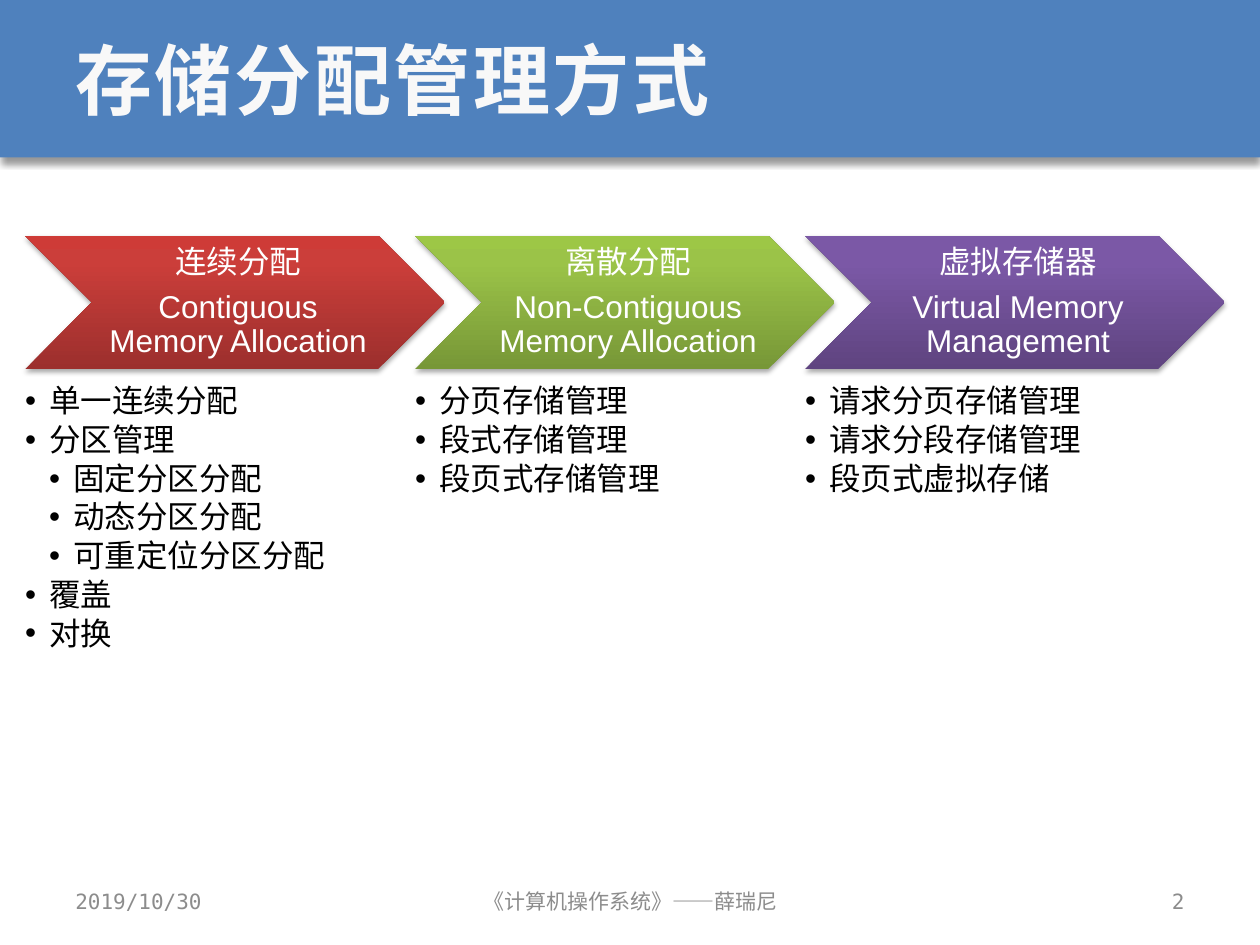
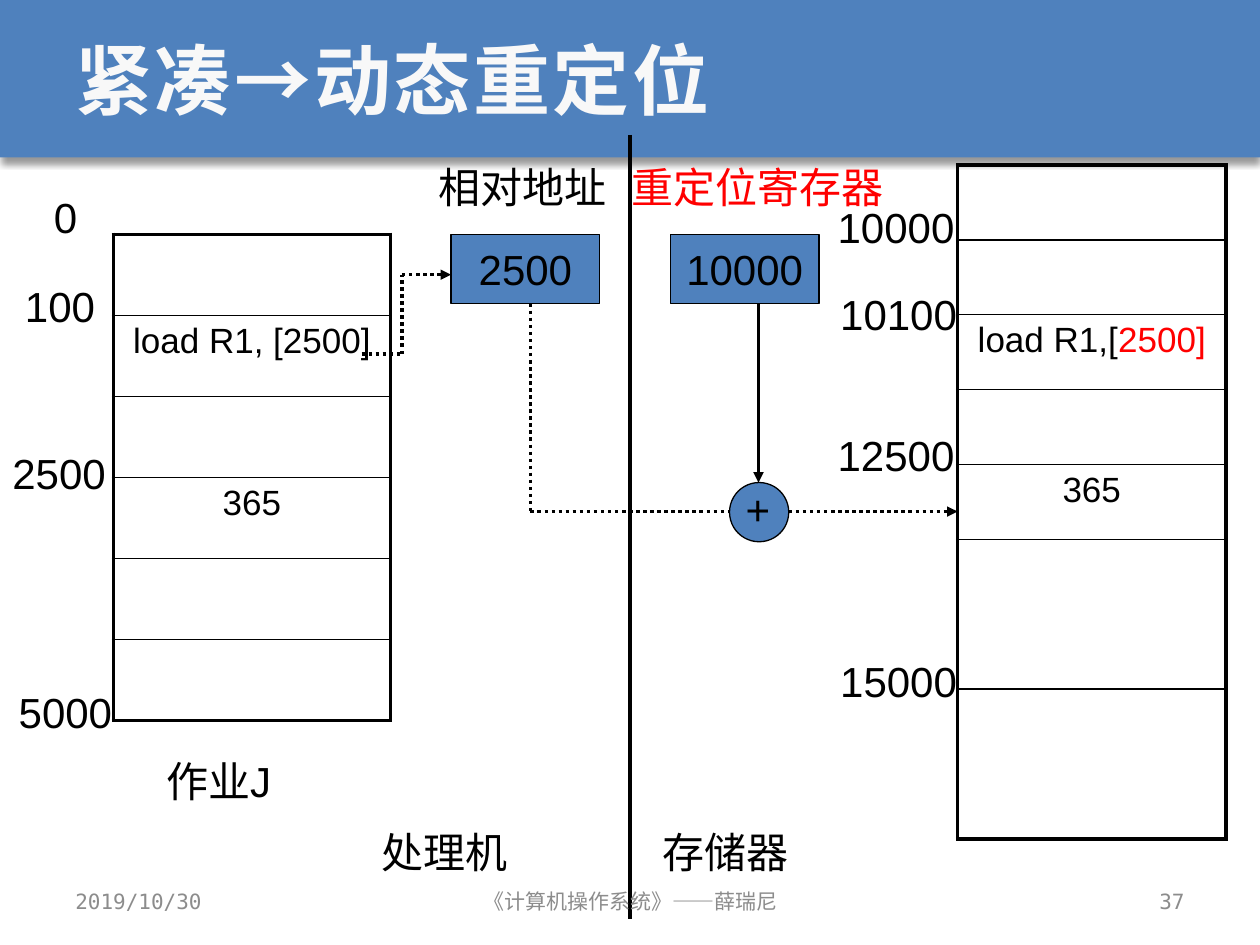
import copy
from dataclasses import dataclass
from itertools import pairwise

import pptx
import pptx.dml.color
import pptx.enum.dml
import pptx.enum.shapes
import pptx.enum.text
import pptx.oxml.ns
import pptx.util
from lxml import etree

ALIGN = pptx.enum.text.PP_ALIGN
ANCHOR = pptx.enum.text.MSO_ANCHOR
SHAPE = pptx.enum.shapes.MSO_SHAPE
qn = pptx.oxml.ns.qn

COLUMN = pptx.util.Inches(10) // 100
ROW = pptx.util.Inches(7.5) // 75


@dataclass(frozen=True)
class Theme:
    blue: str = "4F81BD"
    title: str = "F8F8F8"
    footer: str = "8C8C8C"
    black: str = "000000"
    white: str = "FFFFFF"
    red: str = "FF0000"
    reds: tuple = ("9C2F2D", "CB3E3A", "CE3B37")
    greens: tuple = ("779737", "9BC348", "9DC746")
    purples: tuple = ("5F4480", "7B58A6", "7C57A8")
    mono: str = "DejaVu Sans Mono"
    sans: str = "Arial"
    chinese: str = "Noto Sans CJK SC"
    title_size: int = 44
    label_size: int = 24
    cell_size: int = 20
    list_size: int = 18
    footer_size: int = 12


THEME = Theme()


@dataclass(frozen=True)
class Box:
    left: float
    top: float
    width: float
    height: float

    def area(self, left, top, width, height):
        return Box(self.left + left, self.top + top, width, height)

    def point(self, x, y):
        return round((self.left + x) * COLUMN), round((self.top + y) * ROW)

    def emu(self):
        return (*self.point(0, 0), round(self.width * COLUMN), round(self.height * ROW))


PAGE = Box(0, 0, 100, 75)


def rgb(color):
    return pptx.dml.color.RGBColor.from_string(color)


def add_xml(parent, tag, **attributes):
    return etree.SubElement(parent, qn(tag), {key: str(value) for key, value in attributes.items()})


def style(para, size, color=THEME.black, font=THEME.sans, align=None):
    para.alignment = align
    para.font.size = pptx.util.Pt(size)
    para.font.name = font
    para.font.color.rgb = rgb(color)


def write(frame, lines, size, color=THEME.black, font=THEME.sans, align=None,
          anchor=ANCHOR.TOP, wrap=True, insets=None):
    frame.word_wrap = wrap
    frame.vertical_anchor = anchor
    if insets:
        frame.margin_left, frame.margin_top, frame.margin_right, frame.margin_bottom = map(
            pptx.util.Inches, insets)
    for index, line in enumerate(lines):
        para = frame.add_paragraph() if index else frame.paragraphs[0]
        para.add_run().text = line
        style(para, size, color, font, align)
    return frame.paragraphs


def add_text(page, box, lines, size, **options):
    return write(page.shapes.add_textbox(*box.emu()).text_frame, lines, size, **options)


def add_label(page, box, text, **options):
    options = {"wrap": False, **options}
    add_text(page, box, [text], THEME.label_size, **options)


def add_shape(page, kind, box, fill=THEME.blue, line=None):
    shape = page.shapes.add_shape(kind, *box.emu())
    shape.shadow.inherit = False
    shape.fill.solid()
    shape.fill.fore_color.rgb = rgb(fill)
    if line:
        shape.line.color.rgb = rgb(line)
        shape.line.width = pptx.util.Pt(0.75)
    else:
        shape.line.fill.background()
    return shape


def add_shadow(shape, opacity, blur, distance):
    effects = shape._element.spPr.find(qn("a:effectLst"))
    shadow = add_xml(effects, "a:outerShdw", blurRad=pptx.util.Pt(blur),
                     dist=pptx.util.Pt(distance), dir=90 * 60000, rotWithShape=0)
    color = add_xml(shadow, "a:srgbClr", val=THEME.black)
    add_xml(color, "a:alpha", val=opacity * 1000)


def add_gradient(shape, colors):
    shape.fill.gradient()
    shape.fill.gradient_angle = 90
    stops = shape._element.spPr.find(".//" + qn("a:gsLst"))
    stops.append(copy.deepcopy(stops[0]))
    for stop, color, position in zip(shape.fill.gradient_stops, colors, (0, 0.8, 1)):
        stop.color.rgb = rgb(color)
        stop.position = position


def add_route(page, box, points, dotted=True, arrow=False):
    legs = list(pairwise(points))
    for index, (start, end) in enumerate(legs, 1):
        leg = page.shapes.add_connector(pptx.enum.shapes.MSO_CONNECTOR.STRAIGHT,
                                        *box.point(*start), *box.point(*end))
        leg.line.color.rgb = rgb(THEME.black)
        leg.line.width = pptx.util.Pt(2)
        if dotted:
            leg.line.dash_style = pptx.enum.dml.MSO_LINE.ROUND_DOT
        if arrow and index == len(legs):
            add_xml(leg.line._get_or_add_ln(), "a:tailEnd", type="triangle")
        add_xml(leg._element.spPr, "a:effectLst")


def add_page(deck, title):
    page = deck.slides.add_slide(deck.slide_layouts[6])
    band = add_shape(page, SHAPE.RECTANGLE, PAGE.area(0, 0, 100, 12.5))
    add_shadow(band, 40, 4, 3)
    para, = add_text(page, PAGE.area(5, 0, 90, 12.5), [title], THEME.title_size,
                     color=THEME.title, font=THEME.mono, anchor=ANCHOR.MIDDLE)
    para.font.bold = True
    para.font._element.set("spc", "150")
    return page


def add_footer(page, box, number):
    for left, width, text, align in (
        (0, 23.3, "2019/10/30", ALIGN.LEFT),
        (29.2, 31.7, "《计算机操作系统》——薛瑞尼", ALIGN.CENTER),
        (66.7, 23.3, str(number), ALIGN.RIGHT),
    ):
        add_text(page, box.area(left, 0, width, box.height), [text], THEME.footer_size,
                 color=THEME.footer, font=THEME.mono, align=align, anchor=ANCHOR.MIDDLE)


def add_bullet(para, level):
    properties = para._p.get_or_add_pPr()
    properties.set("marL", str(pptx.util.Inches(0.19 * (level + 1))))
    properties.set("indent", str(pptx.util.Inches(-0.19)))
    add_xml(properties, "a:buFont", typeface=THEME.sans)
    add_xml(properties, "a:buChar", char="•")


def add_method(page, box, colors, heading, items):
    chevron = add_shape(page, SHAPE.CHEVRON, box.area(0, 0, box.width, 10.6))
    add_gradient(chevron, colors)
    add_shadow(chevron, 35, 3.1, 1.8)
    for para in add_text(page, box.area(5.3, 0, 22.7, 10.6), heading, THEME.list_size,
                         color=THEME.white, align=ALIGN.CENTER, anchor=ANCHOR.MIDDLE,
                         insets=(0.08, 0.03, 0.03, 0.03)):
        para.line_spacing = 0.9
        para.space_after = pptx.util.Pt(0.35 * THEME.list_size)
    frame = page.shapes.add_textbox(*box.area(0, 11.9, 26.7, 25.7).emu()).text_frame
    frame.word_wrap = True
    frame.margin_left = frame.margin_top = frame.margin_right = frame.margin_bottom = 0
    for index, (level, text) in enumerate(items):
        para = frame.add_paragraph() if index else frame.paragraphs[0]
        para.add_run().text = text
        para.level = level
        add_bullet(para, level)
        para.line_spacing = 0.9
        para.space_after = pptx.util.Pt(0.15 * THEME.list_size)
        style(para, THEME.list_size)


def add_borders(cell, first, last):
    properties = cell._tc.get_or_add_tcPr()
    for side, width in (("L", 2.25), ("R", 2.25),
                        ("T", 2.25 if first else 1), ("B", 2.25 if last else 1)):
        border = add_xml(properties, f"a:ln{side}", w=pptx.util.Pt(width))
        add_xml(add_xml(border, "a:solidFill"), "a:srgbClr", val=THEME.black)


def add_memory(page, box, shares, contents, labels):
    table = page.shapes.add_table(len(shares), 1, *box.emu()).table
    table.first_row = table.horz_banding = False
    for index, share in enumerate(shares):
        table.rows[index].height = round(box.height * ROW * share / sum(shares))
        cell = table.cell(index, 0)
        add_borders(cell, index == 0, index == len(shares) - 1)
        cell.fill.background()
        if index in contents:
            para = cell.text_frame.paragraphs[0]
            text, marked = contents[index]
            para.add_run().text = text
            style(para, THEME.cell_size, align=ALIGN.CENTER)
            para.space_before = pptx.util.Pt(0.2 * THEME.cell_size)
            if marked:
                span = para.add_run()
                span.text = marked
                span.font.color.rgb = rgb(THEME.red)
    for left, top, width, text in labels:
        add_label(page, box.area(left, top, width, 5), text)


def add_relocation(page, box):
    add_shape(page, SHAPE.OVAL, box.area(28.9, 28.3, 4.7, 4.7), line=THEME.black)
    for left, value in ((6.8, "2500"), (24.2, "10000")):
        register = add_shape(page, SHAPE.RECTANGLE, box.area(left, 8.6, 11.8, 5.5),
                             line=THEME.black)
        write(register.text_frame, [value], THEME.label_size, align=ALIGN.CENTER,
              anchor=ANCHOR.MIDDLE, wrap=False)
    add_route(page, box, [(21, 0.7), (21, 62.9)], dotted=False)
    add_route(page, box, [(-0.3, 18.1), (2.9, 18.1), (2.9, 11.8), (6.8, 11.8)], arrow=True)
    add_route(page, box, [(13.1, 14.1), (13.1, 30.6), (28.9, 30.6)])
    add_route(page, box, [(31.2, 14.1), (31.2, 28.3)], dotted=False, arrow=True)
    add_route(page, box, [(33.6, 30.6), (box.width, 30.6)], arrow=True)
    for left, top, width, text, color, font in (
        (29.2, 27.9, 4.1, "+", THEME.black, THEME.sans),
        (0.3, 55.1, 12.1, "处理机", THEME.black, THEME.chinese),
        (22.6, 55.1, 12.1, "存储器", THEME.black, THEME.chinese),
        (20.1, 2.3, 22.1, "重定位寄存器", THEME.red, THEME.sans),
        (4.8, 2.3, 15.4, "相对地址", THEME.black, THEME.sans),
    ):
        add_label(page, box.area(left, top, width, 5), text, color=color, font=font)


def build_methods(deck):
    page = add_page(deck, "存储分配管理方式")
    methods = (
        (THEME.reds, ("连续分配", "Contiguous Memory Allocation"),
         ((0, "单一连续分配"), (0, "分区管理"), (1, "固定分区分配"), (1, "动态分区分配"),
          (1, "可重定位分区分配"), (0, "覆盖"), (0, "对换"))),
        (THEME.greens, ("离散分配", "Non-Contiguous Memory Allocation"),
         ((0, "分页存储管理"), (0, "段式存储管理"), (0, "段页式存储管理"))),
        (THEME.purples, ("虚拟存储器", "Virtual Memory Management"),
         ((0, "请求分页存储管理"), (0, "请求分段存储管理"), (0, "段页式虚拟存储"))),
    )
    for index, method in enumerate(methods):
        add_method(page, PAGE.area(2 + 30.95 * index, 18.7, 33.3, 37.6), *method)
    add_footer(page, PAGE.area(5, 69.5, 90, 4), 2)


def build_relocation(deck):
    page = add_page(deck, "紧凑→动态重定位")
    job = PAGE.area(9, 18.6, 22, 38.6)
    add_memory(page, job, (1,) * 6,
               {1: ("load R1, [2500]", ""), 3: ("365", "")},
               ((-5.7, -3.9, 3.9, "0"), (-8, 3.2, 7.6, "100"),
                (-9, 16.4, 9.5, "2500"), (-8.5, 35.4, 9.5, "5000")))
    add_label(page, job.area(3.2, 40.9, 10.4, 5), "作业J", wrap=True)
    add_memory(page, PAGE.area(76, 13.1, 21.3, 53.5), (1, 1, 1, 1, 1, 2, 2),
               {2: ("load R1,[", "2500]"), 4: ("365", "")},
               ((-10.5, 2.4, 11.4, "10000"), (-10.3, 9.3, 11.4, "10100"),
                (-10.5, 20.5, 11.4, "12500"), (-10.3, 38.4, 11.4, "15000")))
    add_relocation(page, PAGE.area(29, 10, 47, 63))
    add_footer(page, PAGE.area(5, 69.5, 90, 4), 37)


def main():
    deck = pptx.Presentation()
    deck.slide_width = COLUMN * 100
    deck.slide_height = ROW * 75
    build_methods(deck)
    build_relocation(deck)
    deck.save("out.pptx")


if __name__ == "__main__":
    main()
